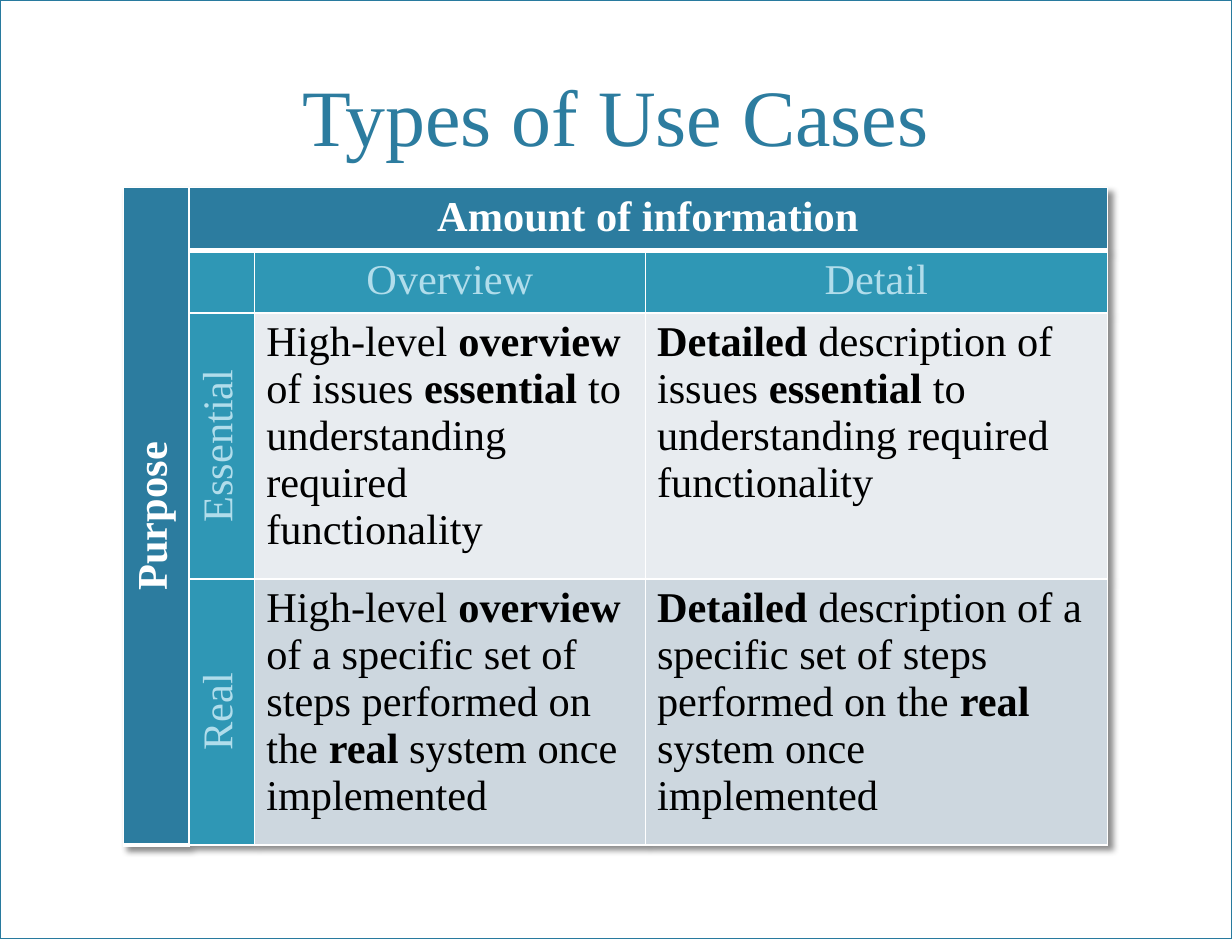
from dataclasses import dataclass

from lxml.etree import SubElement
from pptx import Presentation
from pptx.dml.color import RGBColor
from pptx.enum.shapes import MSO_SHAPE
from pptx.enum.text import MSO_ANCHOR, PP_ALIGN
from pptx.oxml import parse_xml
from pptx.oxml.ns import nsdecls, qn
from pptx.util import Pt

PX = 9144


@dataclass(frozen=True)
class Theme:
    font: str = "Times New Roman"
    title_size: int = 49
    table_size: int = 26
    white: str = "FFFFFF"
    black: str = "000000"
    frame: str = "287A9E"
    header: str = "2C7C9F"
    subheader: str = "2F97B5"
    subheader_text: str = "B1DDEB"
    essential: str = "E8ECF0"
    real: str = "CDD7DF"


THEME = Theme()


def rgb(value):
    return RGBColor.from_string(value)


def write(frame, text, size=THEME.table_size, color=THEME.black, bold=False, align=None):
    paragraph = frame.paragraphs[0]
    paragraph.alignment = align
    for index, part in enumerate(text.split("**")):
        if part:
            run = paragraph.add_run()
            run.text = part
            run.font.name = THEME.font
            run.font.size = Pt(size)
            run.font.bold = bold or index % 2 == 1
            run.font.color.rgb = rgb(color)


def add_frame(slide, box):
    border = slide.shapes.add_shape(MSO_SHAPE.RECTANGLE, *(n * PX for n in box))
    border.shadow.inherit = False
    border.fill.solid()
    border.fill.fore_color.rgb = rgb(THEME.white)
    border.line.color.rgb = rgb(THEME.frame)
    border.line.width = Pt(1)


def add_title(slide, box, text):
    frame = slide.shapes.add_textbox(*(n * PX for n in box)).text_frame
    frame.word_wrap = True
    frame.vertical_anchor = MSO_ANCHOR.BOTTOM
    frame.margin_left = frame.margin_right = 11 * PX
    frame.margin_top = frame.margin_bottom = 5 * PX
    write(frame, text, size=THEME.title_size, color=THEME.header, align=PP_ALIGN.CENTER)


def style_cell(cell, fill, top=1, bottom=1):
    properties = cell._tc.get_or_add_tcPr()
    for side, width in (("L", 1), ("R", 1), ("T", top), ("B", bottom)):
        line = SubElement(properties, qn(f"a:ln{side}"), w=str(Pt(width)))
        SubElement(SubElement(line, qn("a:solidFill")), qn("a:srgbClr"), val=THEME.white)
    cell.fill.solid()
    cell.fill.fore_color.rgb = rgb(fill)


def add_table_shadow(table):
    table._tbl.tblPr.insert(0, parse_xml(
        f'<a:effectLst {nsdecls("a")}>'
        f'<a:outerShdw blurRad="{Pt(4)}" dist="{Pt(4)}" dir="2700000" algn="tl">'
        f'<a:srgbClr val="{THEME.black}"><a:alpha val="45000"/></a:srgbClr>'
        '</a:outerShdw></a:effectLst>'))


def add_use_case_table(slide, box, columns, rows, contents):
    table = slide.shapes.add_table(len(rows), len(columns), *(n * PX for n in box)).table
    add_table_shadow(table)
    for column, width in zip(table.columns, columns):
        column.width = width * PX
    for row, height in zip(table.rows, rows):
        row.height = height * PX
    table.cell(0, 0).merge(table.cell(len(rows) - 1, 0))
    table.cell(0, 1).merge(table.cell(0, len(columns) - 1))

    body_fills = {2: THEME.essential, 3: THEME.real}
    for r, texts in enumerate(contents):
        for c, text in enumerate(texts):
            cell = table.cell(r, c)
            is_header = r == 0 or c == 0
            is_body = r > 1 and c > 1
            if is_header:
                fill, color = THEME.header, THEME.white
            elif is_body:
                fill, color = body_fills[r], THEME.black
            else:
                fill, color = THEME.subheader, THEME.subheader_text
            style_cell(cell, fill, top=3 if r == 1 and c > 0 else 1, bottom=3 if is_header else 1)
            if text:
                write(cell.text_frame, text, color=color, bold=is_header,
                      align=PP_ALIGN.LEFT if is_body else PP_ALIGN.CENTER)
            if text and (c == 0 or (c == 1 and r > 1)):
                cell._tc.tcPr.set("vert", "vert270")


def main():
    presentation = Presentation()
    presentation.slide_width, presentation.slide_height = 1050 * PX, 800 * PX
    slide = presentation.slides.add_slide(presentation.slide_layouts[6])
    add_frame(slide, (0, 0, 1050, 800))
    add_title(slide, (63, 13, 923, 130), "Types of Use Cases")
    contents = [
        ["Purpose", "Amount of information", "", ""],
        ["", "", "Overview", "Detail"],
        ["", "Essential",
         "High-level **overview** of issues **essential** to understanding required functionality",
         "**Detailed** description of issues **essential** to understanding required functionality"],
        ["", "Real",
         "High-level **overview **of a specific set of steps performed on the **real** system once implemented",
         "**Detailed** description of a specific set of steps performed on the **real** system once implemented"],
    ]
    add_use_case_table(slide, (105, 160, 839, 541), (56, 56, 333, 394), (53, 53, 211, 224), contents)
    presentation.save("out.pptx")


if __name__ == "__main__":
    main()
